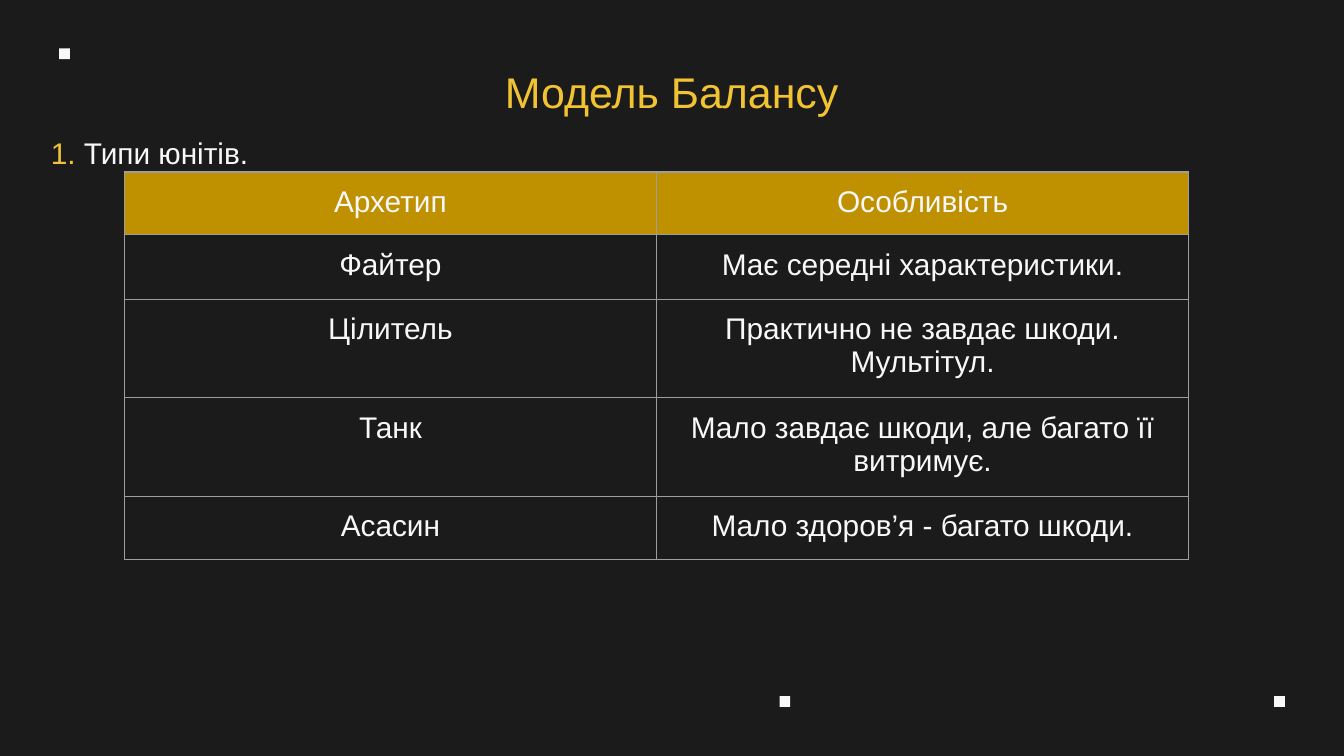
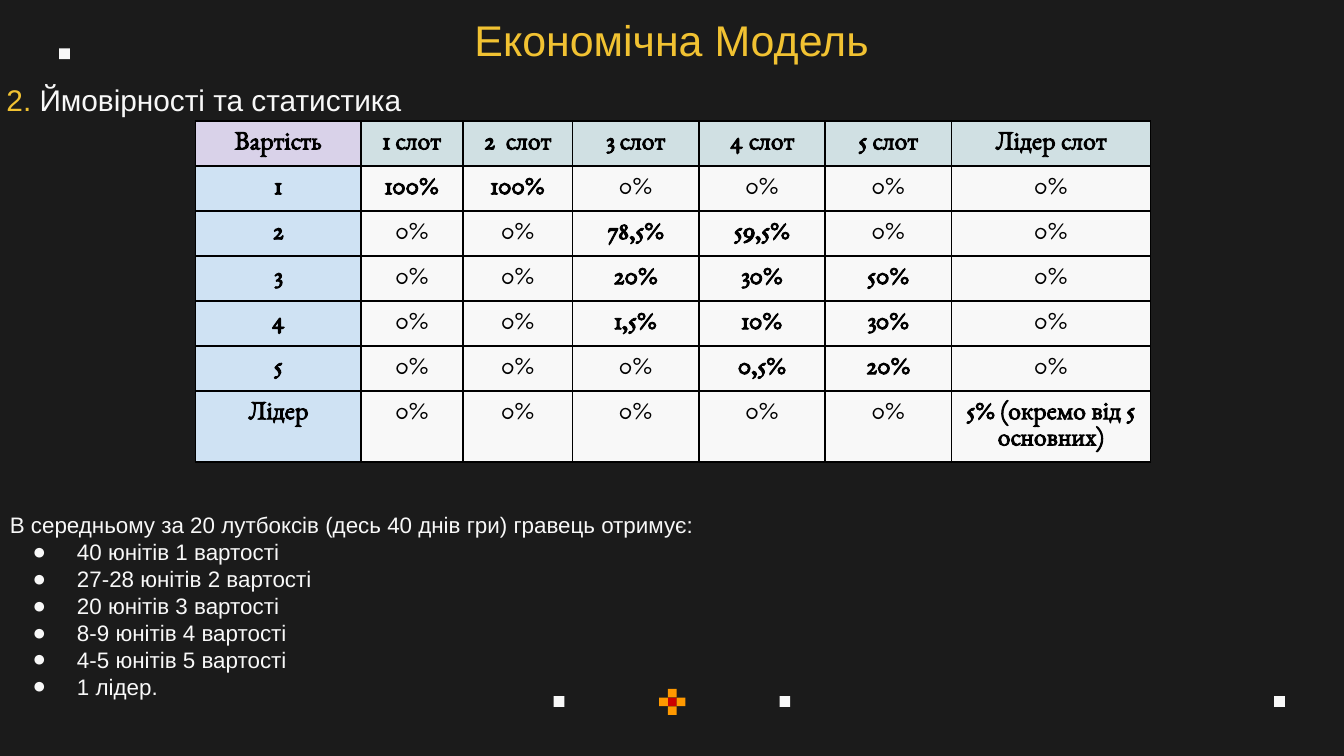
"""Builds two dark slides on game balance and loot box economy."""
from lxml.etree import SubElement
from pptx import Presentation
from pptx.dml.color import RGBColor
from pptx.enum.shapes import MSO_SHAPE as SHAPE
from pptx.enum.text import MSO_ANCHOR as ANCHOR, MSO_AUTO_SIZE as AUTO, PP_ALIGN as ALIGN
from pptx.oxml.ns import qn
from pptx.util import Pt

PX = 4572
DARK = RGBColor(0x1B, 0x1B, 0x1B)
WHITE = RGBColor(0xF8, 0xF8, 0xF8)
BLACK = RGBColor(0, 0, 0)
YELLOW = RGBColor(0xF1, 0xC2, 0x32)
GOLD = RGBColor(0xBF, 0x90, 0x00)
GREY = RGBColor(0x9E, 0x9E, 0x9E)
RED = RGBColor(0xCC, 0, 0)
ORANGE = RGBColor(0xFF, 0x99, 0)
LILAC = RGBColor(0xD9, 0xD2, 0xE9)
TEAL = RGBColor(0xD0, 0xE0, 0xE3)
BLUE = RGBColor(0xCF, 0xE2, 0xF3)


def emu(*px):
    return [v * PX for v in px]


def set_all(obj, values):
    for name, value in values.items():
        setattr(obj, name, value)


def margins(px):
    return {f"margin_{side}": px * PX for side in ("left", "top", "right", "bottom")}


class Deck:
    """Holds the style and the current slide."""

    def __init__(self, width, height):
        self.prs = Presentation()
        set_all(self.prs, {"slide_width": width * PX, "slide_height": height * PX})
        fill = self.prs.slide_master.background.fill
        fill.solid()
        fill.fore_color.rgb = DARK

    def slide(self, title, top):
        self.s = self.prs.slides.add_slide(self.prs.slide_layouts[5])
        for x, y in ((1160, 1036), (1896, 1036), (88, 72)):
            self.rect(x, y, 16, 16, WHITE)
        sp = self.s.shapes.title
        left, y, width, height = emu(156, top, 1688, 102)
        set_all(sp, {"left": left, "top": y, "width": width, "height": height})
        set_all(sp.text_frame, {"word_wrap": True, "auto_size": AUTO.NONE,
                                "vertical_anchor": ANCHOR.TOP, **margins(20)})
        p = sp.text_frame.paragraphs[0]
        p.alignment = ALIGN.CENTER
        self.run(p, title, 23, YELLOW)

    def rect(self, x, y, w, h, color):
        sp = self.s.shapes.add_shape(SHAPE.RECTANGLE, *emu(x, y, w, h))
        sp.shadow.inherit = False
        sp.fill.solid()
        sp.fill.fore_color.rgb = color
        sp.line.fill.background()

    def flower(self, x, y, size):
        self.rect(x, y, size, size, RED)
        for dx, dy in ((0, -size), (-size, 0), (size, 0), (0, size)):
            self.rect(x + dx, y + dy, size, size, ORANGE)

    def run(self, p, text, size, color, font="Arial", bold=False):
        r = p.add_run()
        r.text = text
        set_all(r.font, {"size": Pt(size), "name": font, "bold": bold})
        r.font.color.rgb = color

    def box(self, x, y, w, h):
        tf = self.s.shapes.add_textbox(*emu(x, y, w, h)).text_frame
        set_all(tf, {"word_wrap": True, "auto_size": AUTO.SHAPE_TO_FIT_TEXT, **margins(20)})
        return tf

    def heading(self, x, y, w, number, text):
        p = self.box(x, y, w, 94).paragraphs[0]
        self.run(p, f"{number}. ", 16, YELLOW)
        self.run(p, text, 16, WHITE)

    def bullets(self, x, y, w, h, intro, items):
        tf = self.box(x, y, w, h)
        self.run(tf.paragraphs[0], intro, 12, WHITE)
        for item in items:
            p = tf.add_paragraph()
            pPr = p._p.get_or_add_pPr()
            pPr.set("marL", str(100 * PX))
            pPr.set("indent", str(-66 * PX))
            clr = SubElement(pPr, qn("a:buClr"))
            SubElement(clr, qn("a:srgbClr"), val=str(WHITE))
            SubElement(pPr, qn("a:buFont"), typeface="Arial")
            SubElement(pPr, qn("a:buChar"), char="●")
            self.run(p, item, 12, WHITE)

    def table(self, x, y, widths, heights, rows, look, inset, border, line_width):
        frame = self.s.shapes.add_table(len(heights), len(widths),
                                        *emu(x, y, sum(widths), sum(heights)))
        tbl = frame.table
        set_all(tbl, {"first_row": False, "horz_banding": False})
        for col, width in zip(tbl.columns, widths):
            col.width = width * PX
        for row, height in zip(tbl.rows, heights):
            row.height = height * PX
        for i, row in enumerate(rows):
            for j, text in enumerate(row):
                cell = tbl.cell(i, j)
                fill, font = look(i, j, text)
                set_all(cell, margins(inset))
                self.borders(cell, border, line_width)
                if fill is None:
                    cell.fill.background()
                else:
                    cell.fill.solid()
                    cell.fill.fore_color.rgb = fill
                p = cell.text_frame.paragraphs[0]
                p.alignment = ALIGN.CENTER
                self.run(p, text, **font)

    def borders(self, cell, color, width):
        tcPr = cell._tc.get_or_add_tcPr()
        for side in ("lnL", "lnR", "lnT", "lnB"):
            ln = SubElement(tcPr, qn(f"a:{side}"), w=str(Pt(width)))
            SubElement(SubElement(ln, qn("a:solidFill")), qn("a:srgbClr"), val=str(color))


def unit_look(i, j, text):
    return (GOLD if i == 0 else None), {"size": 16, "color": WHITE}


def chance_look(i, j, text):
    if i == 0:
        fill = TEAL if j else LILAC
    else:
        fill = WHITE if j else BLUE
    return fill, {"size": 14, "color": BLACK, "font": "EB Garamond", "bold": text != "0%"}


def balance_slide(deck):
    deck.slide("Модель Балансу", 78)
    deck.heading(56, 180, 756, 1, "Типи юнітів.")
    units = [
        ("Архетип", "Особливість"),
        ("Файтер", "Має середні характеристики."),
        ("Цілитель", "Практично не завдає шкоди. Мультітул."),
        ("Танк", "Мало завдає шкоди, але багато її витримує."),
        ("Асасин", "Мало здоров’я - багато шкоди."),
    ]
    deck.table(185, 256, [792] * 2, [92, 96, 146, 146, 92], units, unit_look, 20, GREY, 0.75)


def economy_slide(deck):
    deck.slide("Економічна Модель", 0)
    deck.rect(824, 1036, 16, 16, WHITE)
    deck.flower(994, 1038, 13)
    chances = [
        ("Вартість", "1 слот", "2  слот", "3 слот", "4 слот", "5 слот", "Лідер слот"),
        ("1", "100%", "100%", "0%", "0%", "0%", "0%"),
        ("2", "0%", "0%", "78,5%", "59,5%", "0%", "0%"),
        ("3", "0%", "0%", "20%", "30%", "50%", "0%"),
        ("4", "0%", "0%", "1,5%", "10%", "30%", "0%"),
        ("5", "0%", "0%", "0%", "0,5%", "20%", "0%"),
        ("Лідер", *["0%"] * 5, "5% (окремо від 5 основних)"),
    ]
    deck.table(291, 180, [246, 152, 163, 188, 188, 188, 296], [66] * 6 + [105], chances,
               chance_look, 14, BLACK, 1)
    deck.heading(-10, 102, 1594, 2, "Ймовірності та статистика")
    deck.bullets(-5, 741, 2012, 364,
                 "В середньому за 20 лутбоксів (десь 40 днів гри) гравець отримує:",
                 ["40 юнітів 1 вартості", "27-28 юнітів 2 вартості", "20 юнітів 3 вартості",
                  "8-9 юнітів 4 вартості", "4-5 юнітів 5 вартості", "1 лідер."])


def main():
    deck = Deck(2000, 1125)
    balance_slide(deck)
    economy_slide(deck)
    deck.prs.save("out.pptx")


if __name__ == "__main__":
    main()
